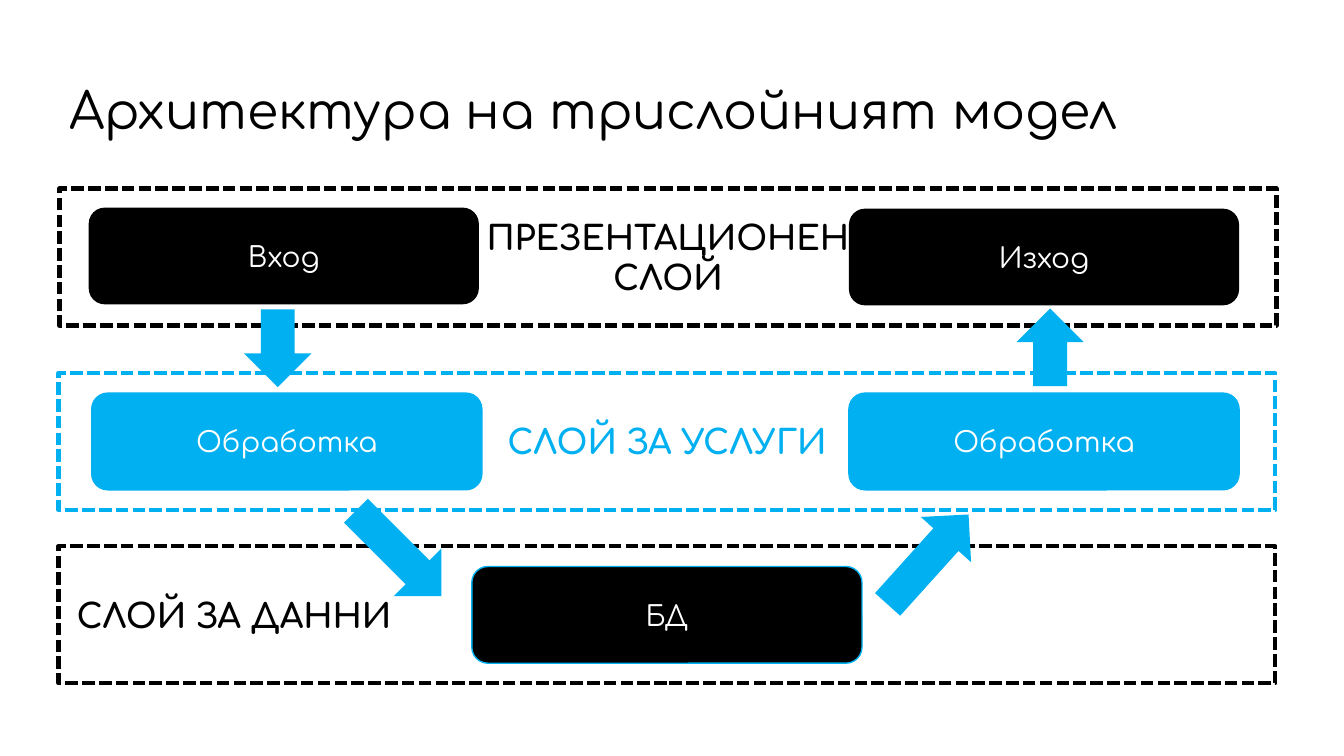
import pptx
import pptx.util
import pptx.dml.color
import pptx.enum.dml
import pptx.enum.shapes
import pptx.enum.text

PX = 9144  # 100 px to the inch
FONT = "Comfortaa"
HUES = {"black": "000000", "blue": "00B0F0", "white": "FFFFFF"}
KIND = pptx.enum.shapes.MSO_SHAPE
ALIGN = pptx.enum.text.PP_ALIGN


def tint(name):
    return pptx.dml.color.RGBColor.from_string(HUES[name])


def write(shape, text, size, hue, bold=False, align=ALIGN.CENTER):
    """Put text in the middle of a shape; a newline becomes a line break."""
    frame = shape.text_frame
    frame.word_wrap = True
    frame.vertical_anchor = pptx.enum.text.MSO_ANCHOR.MIDDLE
    para = frame.paragraphs[0]
    para.alignment = align
    for row, line in enumerate(text.split("\n")):
        if row:
            para.add_line_break()
        run = para.add_run()
        run.text = line
        run.font.name = FONT
        run.font.size = pptx.util.Pt(size)
        run.font.bold = bold
        run.font.color.rgb = tint(hue)
    return frame


deck = pptx.Presentation()
deck.slide_width = 1333 * PX
deck.slide_height = 750 * PX
slide = deck.slides.add_slide(deck.slide_layouts[6])
shapes = slide.shapes

title = shapes.add_textbox(59 * PX, 40 * PX, 1207 * PX, 145 * PX)
frame = write(title, "Архитектура на трислойният модел", 36, "black", align=ALIGN.LEFT)
frame.paragraphs[0].line_spacing = 0.9

# Layers: left, top, hue, label, alignment, left inset
layers = [
    (59, 187, "black", "ПРЕЗЕНТАЦИОНЕН\nСЛОЙ", ALIGN.CENTER, 10),
    (58, 370, "blue", "СЛОЙ ЗА УСЛУГИ", ALIGN.CENTER, 10),
    (58, 542, "black", "СЛОЙ ЗА ДАННИ", ALIGN.LEFT, 18),
]
for left, top, hue, label, align, inset in layers:
    layer = shapes.add_shape(KIND.RECTANGLE, left * PX, top * PX, 1207 * PX, 136 * PX)
    layer.shadow.inherit = False
    layer.fill.background()
    layer.line.color.rgb = tint(hue)
    layer.line.width = pptx.util.Pt(3)
    layer.line.dash_style = pptx.enum.dml.MSO_LINE.SQUARE_DOT
    frame = write(layer, label, 24, hue, True, align)
    frame.margin_left = inset * PX

# Steps: left, top, fill, outline, label
steps = [
    (88, 206, "black", None, "Вход"),
    (842, 207, "black", None, "Изход"),
    (91, 390, "blue", "blue", "Обработка"),
    (842, 390, "blue", "blue", "Обработка"),
    (468, 562, "black", "blue", "БД"),
]
for left, top, hue, edge, label in steps:
    step = shapes.add_shape(KIND.ROUNDED_RECTANGLE, left * PX, top * PX, 387 * PX, 96 * PX)
    step.shadow.inherit = False
    step.fill.solid()
    step.fill.fore_color.rgb = tint(hue)
    if edge:
        step.line.color.rgb = tint(edge)
        step.line.width = pptx.util.Pt(1)
    else:
        step.line.fill.background()
    write(step, label, 20, "white")

# Arrows: left, top, height, turn
arrows = [
    (242, 307, 77, 0),
    (362, 489, 120, 315),
    (887, 495, 120, 222),
    (1008, 306, 77, 180),
]
for left, top, height, turn in arrows:
    arrow = shapes.add_shape(KIND.DOWN_ARROW, left * PX, top * PX, 67 * PX, height * PX)
    arrow.shadow.inherit = False
    arrow.rotation = turn
    arrow.fill.solid()
    arrow.fill.fore_color.rgb = tint("blue")
    arrow.line.fill.background()

deck.save("out.pptx")
